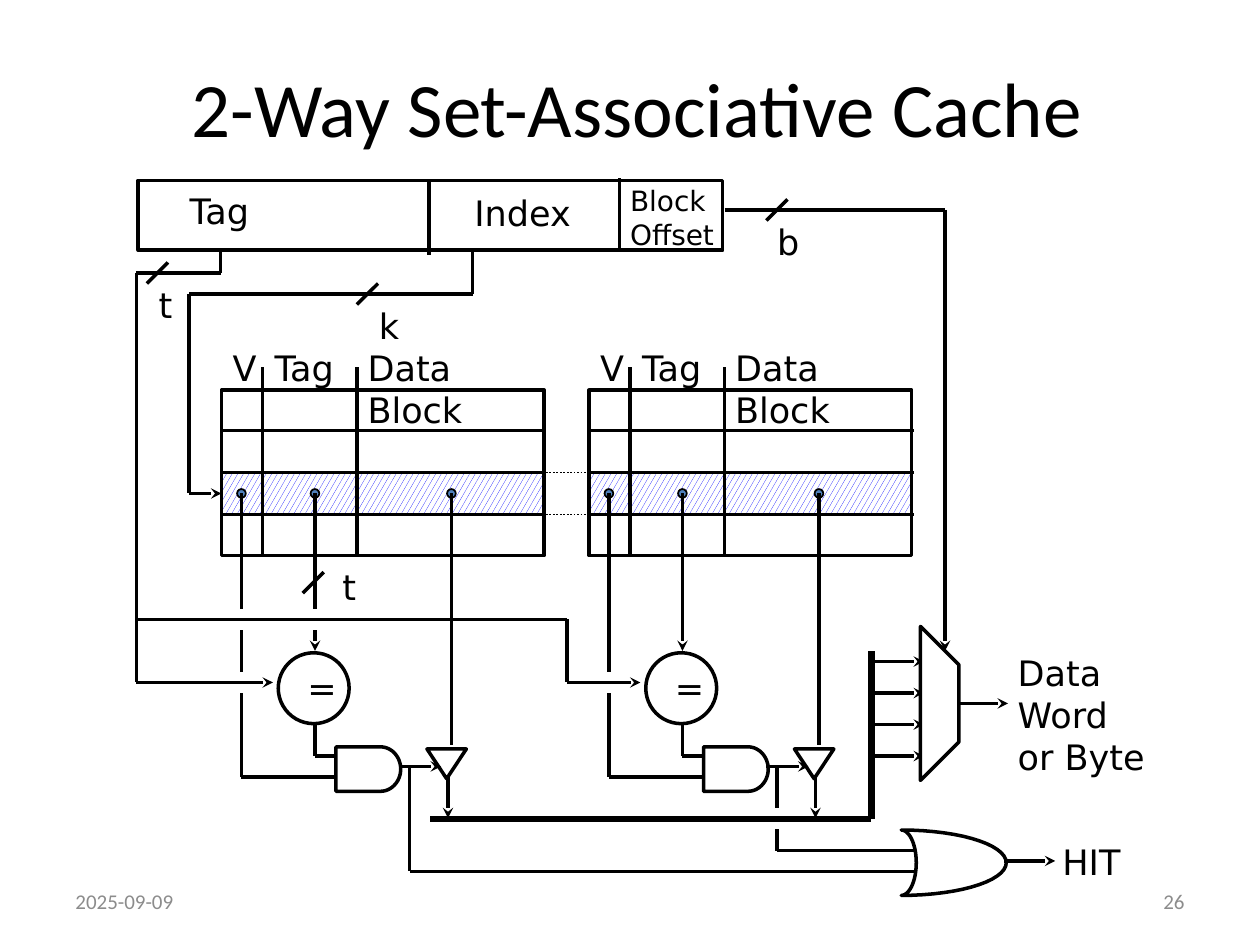
import math
from dataclasses import dataclass
from typing import List, Optional, Tuple

import lxml.etree
import pptx
import pptx.dml.color
import pptx.enum.dml
import pptx.enum.shapes
import pptx.enum.text
import pptx.oxml.ns
import pptx.util

Pt = pptx.util.Pt
Kind = pptx.enum.shapes.MSO_SHAPE
Align = pptx.enum.text.PP_ALIGN
Point = Tuple[float, float]
BLACK, WHITE, BLUE, DOT, GREY = "000000", "FFFFFF", "0000FF", "4F81BD", "8C8C8C"
STEP = 210  # distance between the two ways


@dataclass
class Label:
    text: str
    x: float
    y: float
    w: float
    h: float = 31.5
    size: float = 20
    indent: float = 0
    font: str = "DejaVu Sans"
    color: str = BLACK
    align: Align = Align.LEFT
    middle: bool = False


@dataclass
class Wire:
    pts: List[Point]
    arrow: bool = False
    width: float = 2
    dash: bool = False


@dataclass
class Way:
    dx: float
    valid: List[Tuple[float, float]]  # spans of the V line, broken at crossings
    tag: List[Tuple[float, float]]  # spans of the tag line


prs = pptx.Presentation()
prs.slide_width, prs.slide_height = Pt(720), Pt(540)
slide = prs.slides.add_slide(prs.slide_layouts[5])
shapes = slide.shapes


def rgb(code: str) -> pptx.dml.color.RGBColor:
    return pptx.dml.color.RGBColor.from_string(code)


def write(par, text: str, size: float, font: str, color: str) -> None:
    run = par.add_run()
    run.text = text
    run.font.size, run.font.name = Pt(size), font
    run.font.color.rgb = rgb(color)


def put(lab: Label) -> None:
    box = shapes.add_textbox(Pt(lab.x), Pt(lab.y), Pt(lab.w), Pt(lab.h))
    frame = box.text_frame
    frame.word_wrap = True
    frame.margin_left = Pt(7.2 + lab.indent)
    frame.margin_right = Pt(7.2 if lab.align == Align.RIGHT else 0)
    if lab.middle:
        frame.vertical_anchor = pptx.enum.text.MSO_ANCHOR.MIDDLE
    for i, line in enumerate(lab.text.split("\n")):
        par = frame.add_paragraph() if i else frame.paragraphs[0]
        par.alignment = lab.align
        write(par, line, lab.size, lab.font, lab.color)


def style(shape, fill: Optional[str], width: float = 2):
    shape.shadow.inherit = False
    if fill:
        shape.fill.solid()
        shape.fill.fore_color.rgb = rgb(fill)
    else:
        shape.fill.background()
    shape.line.color.rgb = rgb(BLACK)
    shape.line.width = Pt(width)
    return shape


def form(kind, x: float, y: float, w: float, h: float,
         fill: Optional[str] = None, width: float = 2):
    return style(shapes.add_shape(kind, Pt(x), Pt(y), Pt(w), Pt(h)), fill, width)


def outline(pts: List[Point], fill: Optional[str] = None):
    emu = [(Pt(x), Pt(y)) for x, y in pts]
    path = shapes.build_freeform(*emu[0])
    path.add_line_segments(emu[1:], close=True)
    return style(path.convert_to_shape(), fill)


def arc(cx: float, cy: float, rx: float, ry: float, up: bool = False) -> List[Point]:
    """Right half of an ellipse, from top to bottom or upwards."""
    pts = [(cx + rx * math.cos(math.radians(a)), cy + ry * math.sin(math.radians(a)))
           for a in range(-90, 91, 6)]
    return pts[::-1] if up else pts


def draw(wire: Wire):
    """Draw each leg of a wire and return the last one."""
    legs = list(zip(wire.pts, wire.pts[1:]))
    for i, (a, b) in enumerate(legs):
        leg = shapes.add_connector(pptx.enum.shapes.MSO_CONNECTOR.STRAIGHT,
                                   Pt(a[0]), Pt(a[1]), Pt(b[0]), Pt(b[1]))
        leg.line.color.rgb = rgb(BLACK)
        leg.line.width = Pt(wire.width)
        if wire.dash:
            leg.line.dash_style = pptx.enum.dml.MSO_LINE.ROUND_DOT
        qn = pptx.oxml.ns.qn
        if wire.arrow and i == len(legs) - 1:
            lxml.etree.SubElement(leg.line._get_or_add_ln(), qn("a:tailEnd"), type="stealth")
        lxml.etree.SubElement(leg._element.spPr, qn("a:effectLst"))
    return leg


def spans(x: float, parts: List[Tuple[float, float]], arrow: bool = False) -> None:
    for part in parts:
        draw(Wire([(x, y) for y in part], arrow and part == parts[-1]))


def store(way: Way):
    """Draw one way with its compare logic and return its chosen row."""
    dx = way.dx
    # Table
    row = form(Kind.RECTANGLE, dx + 126.5, 270.5, 185, 23, width=1)
    row.fill.patterned()
    row.fill.pattern = pptx.enum.dml.MSO_PATTERN.LARGE_CONFETTI
    row.fill.fore_color.rgb, row.fill.back_color.rgb = rgb(BLUE), rgb(WHITE)
    form(Kind.RECTANGLE, dx + 126.5, 223, 184.5, 94.5)
    for y in (246, 270, 294):
        draw(Wire([(dx + 126, y), (dx + 312, y)]))
    for x in (150, 204):
        draw(Wire([(dx + x, 210), (dx + x, 318)]))
    put(Label("V", dx + 113, 194.5, 42, indent=12.7))
    put(Label("Tag", dx + 137, 194.5, 65.5, indent=12.7))
    put(Label("Data Block", dx + 203, 194.5, 105))
    # Taps from the row
    for x in (138, 180, 258):
        form(Kind.OVAL, dx + x - 2.5, 279.5, 5, 5, DOT, 1)
    spans(dx + 138, way.valid)
    spans(dx + 180, way.tag, arrow=True)
    spans(dx + 258, [(282, 426)])
    # Comparator, AND gate and buffer
    form(Kind.OVAL, dx + 159, 373, 40.5, 40.5, WHITE)
    put(Label("=", dx + 162, 377.5, 38, indent=6.4))
    outline([(dx + 192, 426.8), *arc(dx + 217.4, 439.5, 11.6, 12.7), (dx + 192, 452.2)])
    form(Kind.FLOWCHART_MERGE, dx + 244, 428, 22.5, 17)
    draw(Wire([(dx + 180, 408 + 5.5), (dx + 180, 432), (dx + 192, 432)]))
    draw(Wire([(dx + 138, 444), (dx + 192, 444)]))
    draw(Wire([(dx + 228, 438), (dx + 252, 438)], True))
    draw(Wire([(dx + 256, 443), (dx + 256, 467.5)], True))
    return row


# Title and footer
title = shapes.title
title.left, title.top, title.width, title.height = Pt(24.5), Pt(27.5), Pt(679), Pt(67.5)
title.text_frame.vertical_anchor = pptx.enum.text.MSO_ANCHOR.MIDDLE
head = title.text_frame.paragraphs[0]
head.alignment = Align.CENTER
write(head, "2-Way Set-Associative Cache", 44, "Calibri", BLACK)
foot = dict(y=500.5, w=168, h=28.8, size=12, font="Calibri", color=GREY, middle=True)
put(Label("2025-09-09", 36, **foot))
put(Label("26", 516, align=Align.RIGHT, **foot))

# Address fields
form(Kind.RECTANGLE, 79, 103, 334, 40)
for x, top, end in ((245, 103, 145.5), (354, 102, 144)):
    draw(Wire([(x, top), (x, end)]))

# Two ways
rows = [store(Way(0, [(282, 348), (360, 384), (396, 444)], [(282, 348), (360, 372)])),
        store(Way(STEP, [(282, 384), (396, 444)], [(282, 372)]))]

# Wires between the parts
index = draw(Wire([(270, 144), (270, 168), (108, 168), (108, 282), (126.5, 282)], True))
index.end_connect(rows[0], 1)
for y in (378, 396, 414, 432):
    draw(Wire([(498, y), (528, y)], True))
outline([(526, 358), (548, 380), (548, 424), (526, 446)], WHITE)  # multiplexer
outline(arc(515, 493, 60, 18.7) + arc(515, 493, 8.6, 18.7, up=True))  # OR gate
for wire in (
    Wire([(126, 144), (126, 156), (78, 156), (78, 390), (156, 390)], True),
    Wire([(78, 354), (324, 354), (324, 390), (366, 390)], True),
    Wire([(414, 120), (540, 120), (540, 372)], True),
    Wire([(246, 468), (498, 468), (498, 372)], width=4),
    Wire([(548, 402), (576, 402)], True),
    Wire([(234, 438), (234, 498), (522, 498)]),
    Wire([(444, 438), (444, 462)]),
    Wire([(444, 474), (444, 486), (522, 486)]),
    Wire([(574, 492), (603, 492)], True),
    Wire([(312, 270), (336, 270)], width=1, dash=True),
    Wire([(312, 294), (336, 294)], width=1, dash=True),
):
    draw(wire)
for x, y in ((90, 156), (210, 168), (444, 120), (179, 333)):  # bus width slashes
    draw(Wire([(x + 6, y - 6), (x - 6, y + 6)]))

# Labels
for label in (
    Label("Tag", 88.5, 104.5, 65.5, indent=12.7),
    Label("Index", 264, 106, 72),
    Label("Block\nOffset", 353, 101.5, 63.5, 46, size=16),
    Label("t", 77, 158.5, 29.5, indent=6.4),
    Label("k", 203, 170.5, 33, indent=6.4),
    Label("b", 430.5, 122.5, 34, indent=6.4),
    Label("t", 182, 319.5, 29.5, indent=6.4),
    Label("Data\nWord\nor Byte", 574.5, 368.5, 88, 80.5),
    Label("HIT", 600, 476.5, 50.5),
):
    put(label)

prs.save("out.pptx")
